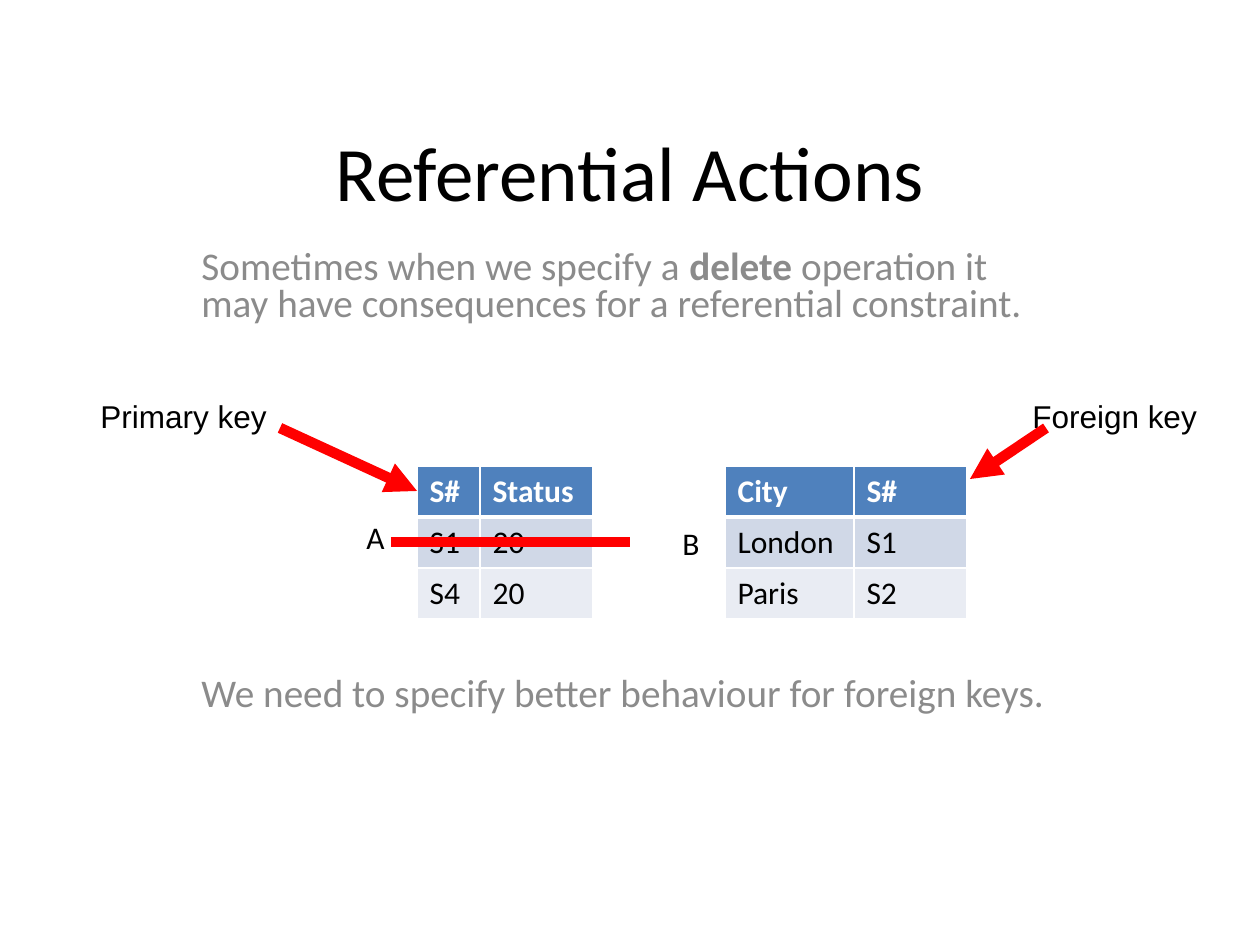
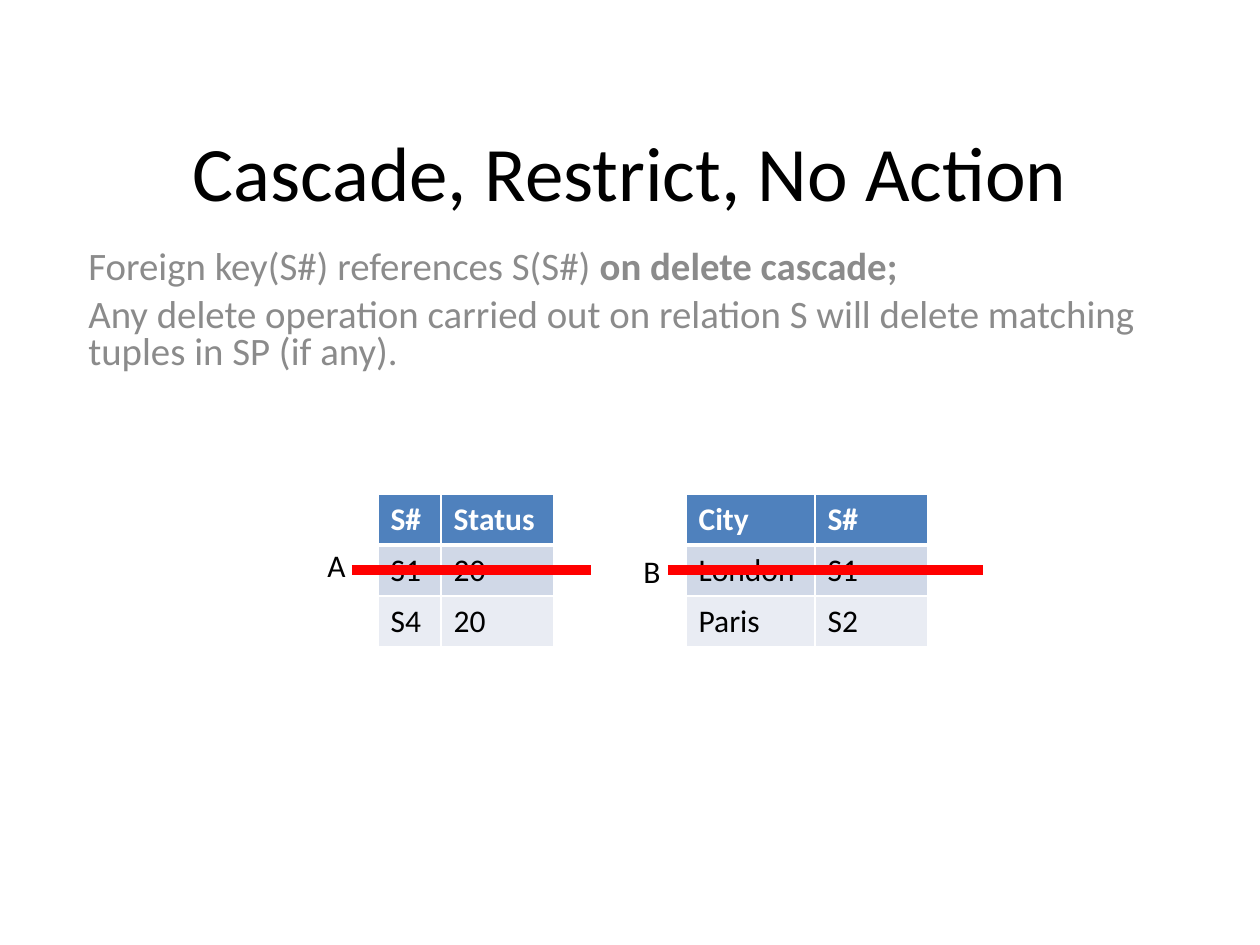
import pptx
import pptx.dml.color
import pptx.enum.shapes
import pptx.enum.text
import pptx.oxml
import pptx.oxml.ns
import pptx.util
from lxml import etree

PX = pptx.util.Inches(1) / 126
HUES = {"ink": "000000", "gray": "8B8B8B", "red": "FF0000", "white": "FFFFFF",
        "head": "4F81BD", "odd": "D0D8E7", "even": "E9ECF3"}
ROW, THIN, THICK = 51, 0.96, 3


def write(para, runs, size, hue, font="Calibri"):
    for text, bold in runs:
        run = para.add_run()
        run.text = text
        run.font.name = font
        run.font.size = pptx.util.Pt(size)
        run.font.bold = bold
        run.font.color.rgb = pptx.dml.color.RGBColor.from_string(HUES[hue])


def draw(slide, ends, arrow=False):
    link = slide.shapes.add_connector(
        pptx.enum.shapes.MSO_CONNECTOR.STRAIGHT, *[round(n * PX) for n in ends])
    link.line.color.rgb = pptx.dml.color.RGBColor.from_string(HUES["red"])
    link.line.width = pptx.util.Pt(6)
    if arrow:
        etree.SubElement(link.line._get_or_add_ln(),
                         pptx.oxml.ns.qn("a:tailEnd"), type="triangle")
    etree.SubElement(link._element.spPr, pptx.oxml.ns.qn("a:effectLst"))


# Body lines: (space before in points, runs)
PAGES = [
    {"title": "Referential Actions", "box": (189, 244, 882, 586), "size": 22.4,
     "body": [(6.4, [("Sometimes when we specify a ", False), ("delete", True),
                     (" operation it may have consequences for a referential constraint.", False)]),
              (201, [("We need to specify better behaviour for foreign keys.", False)])],
     "spot": (417, 466), "cuts": [(-26, 213)],
     "keys": [("Primary key", 88, 192, (280, 428, 417, 491)),
              ("Foreign key", 1020, 190, (1046, 428, 970, 479))]},
    {"title": "Cascade, Restrict, No Action", "box": (76, 244, 1121, 171), "size": 22.2,
     "body": [(6.4, [("Foreign key(S#) references S(S#) ", False), ("on delete cascade;", True)]),
              (6.4, [("Any delete operation carried out on relation S will delete "
                      "matching tuples in SP (if any).", False)])],
     "spot": (378, 494), "cuts": [(-26, 213), (290, 605)], "keys": []},
]

# Tables: tag, tag offset, table offset, column widths, rows
GRIDS = [
    ("A", (-63, 46), 0, (63, 113), [("S#", "Status"), ("S1", "20"), ("S4", "20")]),
    ("B", (253, 52), 308, (129, 113), [("City", "S#"), ("London", "S1"), ("Paris", "S2")]),
]

deck = pptx.Presentation()
deck.slide_width = pptx.util.Inches(10)
deck.slide_height = pptx.util.Inches(7.5)

for page in PAGES:
    slide = deck.slides.add_slide(deck.slide_layouts[5])
    left, top = page["spot"]

    # Title
    title = slide.shapes.title
    title.left, title.top, title.width, title.height = [
        round(n * PX) for n in (63, 106, 1134, 129)]
    title.text_frame.vertical_anchor = pptx.enum.text.MSO_ANCHOR.MIDDLE
    para = title.text_frame.paragraphs[0]
    para.alignment = pptx.enum.text.PP_ALIGN.CENTER
    write(para, [(page["title"], False)], 44, "ink")

    # Body text
    frame = slide.shapes.add_textbox(*[round(n * PX) for n in page["box"]]).text_frame
    frame.word_wrap = True
    for i, (gap, runs) in enumerate(page["body"]):
        para = frame.add_paragraph() if i else frame.paragraphs[0]
        para.line_spacing = 0.8
        para.space_before = pptx.util.Pt(gap)
        write(para, runs, page["size"], "gray")

    # Tagged tables
    for tag, (dx, dy), shift, cols, rows in GRIDS:
        box = slide.shapes.add_textbox(*[round(n * PX) for n in (left + dx, top + dy, 52, 50)])
        box.text_frame.word_wrap = True
        write(box.text_frame.paragraphs[0], [(tag, False)], 18, "ink")

        area = (left + shift, top, sum(cols), ROW * len(rows))
        grid = slide.shapes.add_table(len(rows), len(cols), *[round(n * PX) for n in area]).table
        for c, wide in enumerate(cols):
            grid.columns[c].width = round(wide * PX)
        for r, row in enumerate(rows):
            grid.rows[r].height = round(ROW * PX)
            for c, text in enumerate(row):
                cell = grid.cell(r, c)
                write(cell.text_frame.paragraphs[0], [(text, r == 0)], 18,
                      "ink" if r else "white")
                # Borders come before the fill in the cell's XML
                props = cell._tc.get_or_add_tcPr()
                for side in "LRTB":
                    thick = (r, side) in ((0, "B"), (1, "T"))
                    edge = etree.SubElement(
                        props, pptx.oxml.ns.qn("a:ln" + side),
                        w=str(pptx.util.Pt(THICK if thick else THIN)))
                    solid = etree.SubElement(edge, pptx.oxml.ns.qn("a:solidFill"))
                    etree.SubElement(solid, pptx.oxml.ns.qn("a:srgbClr"), val=HUES["white"])
                cell.fill.solid()
                cell.fill.fore_color.rgb = pptx.dml.color.RGBColor.from_string(
                    HUES[("head", "odd", "even")[r]])

    # Key labels and their arrows
    for text, x, wide, ends in page["keys"]:
        box = slide.shapes.add_textbox(*[round(n * PX) for n in (x, 391, wide, 48)])
        box.text_frame.word_wrap = False
        write(box.text_frame.paragraphs[0], [(text, False)], 18, "ink", "Arial")
        draw(slide, ends, True)

    # Strikes through deleted rows
    for start, end in page["cuts"]:
        draw(slide, (left + start, top + 76, left + end, top + 76))

deck.save("out.pptx")
